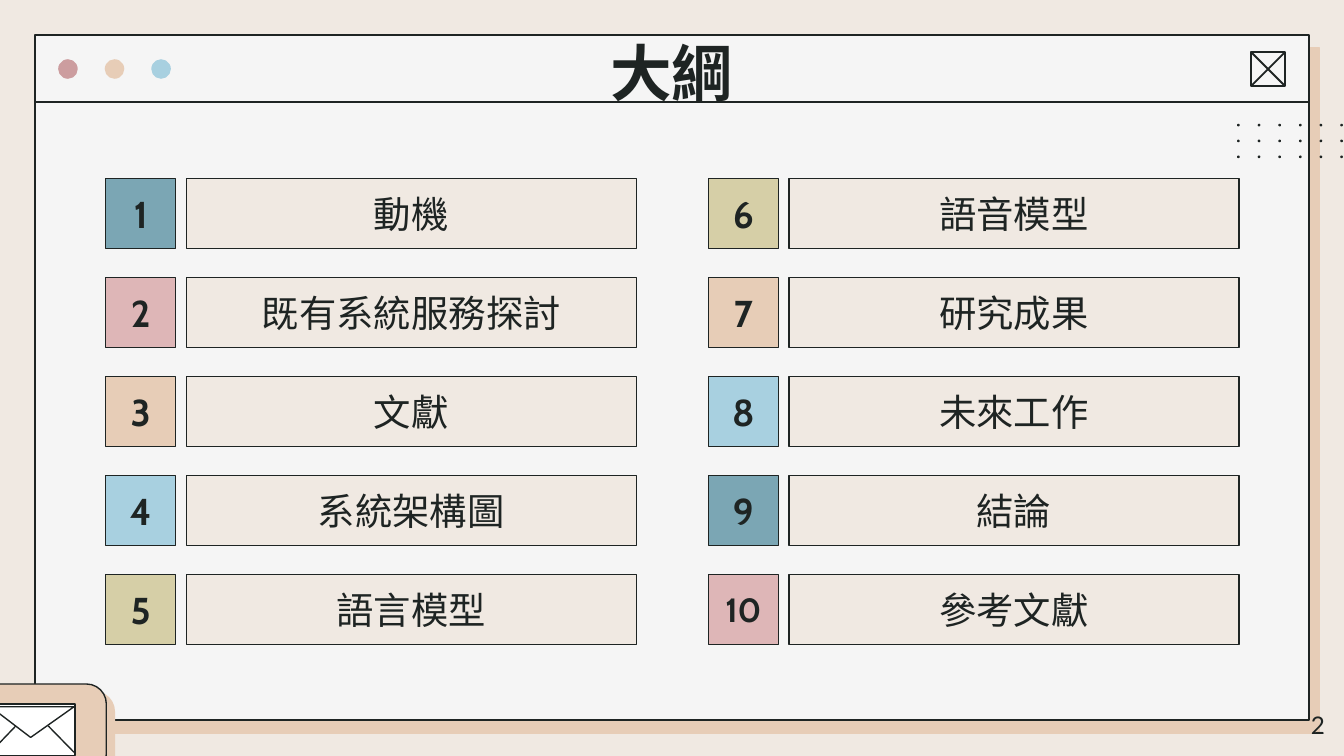
from lxml import etree
from pptx import Presentation
from pptx import util as u
from pptx.dml import color
from pptx.enum import shapes, text
from pptx.oxml import ns

HUES = {
    "ink": "1E2423", "sand": "F0E9E2", "pane": "F5F5F5", "white": "FFFFFF",
    "peach": "E7CDB7", "rose": "CC9D9F", "pink": "DEB6B7",
    "sky": "A8D0E0", "teal": "7BA6B4", "moss": "D6CFA7",
}
RGB = {name: color.RGBColor.from_string(hue) for name, hue in HUES.items()}
KIND = shapes.MSO_SHAPE
SIDE = text.PP_ALIGN

deck = Presentation()
deck.slide_width, deck.slide_height = u.Cm(25.4), u.Cm(14.29)
slide = deck.slides.add_slide(deck.slide_layouts[6])
slide.background.fill.solid()
slide.background.fill.fore_color.rgb = RGB["sand"]


def box(kind, x, y, w, h, fill=None, edge=0):
    """Add a preset shape; edge is the outline width in points, 0 for none."""
    item = slide.shapes.add_shape(kind, u.Cm(x), u.Cm(y), u.Cm(w), u.Cm(h))
    item.shadow.inherit = False
    if fill:
        item.fill.solid()
        item.fill.fore_color.rgb = RGB[fill]
    else:
        item.fill.background()
    if edge:
        item.line.color.rgb = RGB["ink"]
        item.line.width = u.Pt(edge)
    else:
        item.line.fill.background()
    return item


def write(item, words, size, font, side=SIDE.CENTER, bold=False,
          anchor=text.MSO_ANCHOR.MIDDLE):
    frame = item.text_frame
    frame.word_wrap = True
    frame.vertical_anchor = anchor
    frame.margin_left = frame.margin_right = u.Cm(0.25)
    frame.margin_top = frame.margin_bottom = u.Cm(0.25)
    para = frame.paragraphs[0]
    para.alignment = side
    run = para.add_run()
    run.text = words
    run.font.size = u.Pt(size)
    run.font.name = font
    run.font.bold = bold
    run.font.color.rgb = RGB["ink"]


# Window, mail card and their solid shadows
pane = box(KIND.RECTANGLE, 0.66, 0.66, 24.08, 12.95, "pane", 1)
for n, hue in enumerate(["rose", "peach", "sky"]):
    box(KIND.OVAL, 1.1 + n * 0.88, 1.12, 0.37, 0.37, hue)
box(KIND.RECTANGLE, 23.65, 0.99, 0.63, 0.63, edge=1)

card = box(KIND.ROUNDED_RECTANGLE, -0.81, 12.93, 2.82, 1.7, "peach", 0.75)
card.adjustments[0] = 0.22
box(KIND.RECTANGLE, -0.23, 13.31, 1.65, 0.97, "white", 0.75)

for item, dist, angle in [(pane, 9, 51), (card, 6, 44)]:
    effects = item._element.spPr.find(ns.qn("a:effectLst"))
    shade = etree.SubElement(effects, ns.qn("a:outerShdw"), dist=str(u.Pt(dist)),
                             dir=str(angle * 60000), algn="bl", rotWithShape="0")
    etree.SubElement(shade, ns.qn("a:srgbClr"), val=HUES["peach"])

# Envelope flap
pen = slide.shapes.build_freeform(u.Cm(-0.18), u.Cm(13.36))
pen.add_line_segments([(u.Cm(0.58), u.Cm(13.94)), (u.Cm(1.4), u.Cm(13.36))], close=True)
flap = pen.convert_to_shape()
flap.shadow.inherit = False
flap.fill.background()
flap.line.color.rgb = RGB["ink"]
flap.line.width = u.Pt(0.75)

# Title bar rule, close cross, envelope folds
for x1, y1, x2, y2, edge in [
    (0.66, 1.93, 24.74, 1.93, 1),
    (23.65, 0.99, 24.28, 1.62, 1),
    (24.28, 0.99, 23.65, 1.62, 1),
    (-0.18, 14.22, 0.3, 13.72, 0.75),
    (1.4, 14.22, 0.91, 13.72, 0.75),
]:
    rule = slide.shapes.add_connector(
        shapes.MSO_CONNECTOR.STRAIGHT, u.Cm(x1), u.Cm(y1), u.Cm(x2), u.Cm(y2))
    rule.line.color.rgb = RGB["ink"]
    rule.line.width = u.Pt(edge)
    etree.SubElement(rule._element.spPr, ns.qn("a:effectLst"))

# Dot grid
for row in range(3):
    for col in range(6):
        box(KIND.OVAL, 23.38 + col * 0.39, 2.34 + row * 0.3, 0.05, 0.05, "ink")

# Heading and page number
head = slide.shapes.add_textbox(u.Cm(2), u.Cm(0.41), u.Cm(21.4), u.Cm(1.6))
write(head, "大綱", 33, "Cabin", bold=True, anchor=text.MSO_ANCHOR.TOP)
page = slide.shapes.add_textbox(u.Cm(23.77), u.Cm(13.18), u.Cm(1.52), u.Cm(1.09))
write(page, "2", 13, "Lato", SIDE.RIGHT, anchor=text.MSO_ANCHOR.TOP)

# Outline: two columns of five topics
topics = [
    ("動機", "teal"), ("既有系統服務探討", "pink"), ("文獻", "peach"),
    ("系統架構圖", "sky"), ("語言模型", "moss"),
    ("語音模型", "moss"), ("研究成果", "peach"), ("未來工作", "sky"),
    ("結論", "teal"), ("參考文獻", "pink"),
]
for n, (topic, hue) in enumerate(topics):
    col, row = divmod(n, 5)
    x, y = 2 + col * 11.39, 3.38 + row * 1.87
    tile = box(KIND.RECTANGLE, x, y, 1.32, 1.32, hue, 0.75)
    write(tile, str(n + 1), 20 if n < 9 else 18, "Cabin", bold=True)
    bar = box(KIND.RECTANGLE, x + 1.52, y, 8.51, 1.32, "sand", 0.75)
    write(bar, topic, 20, "Lato")

deck.save("out.pptx")
